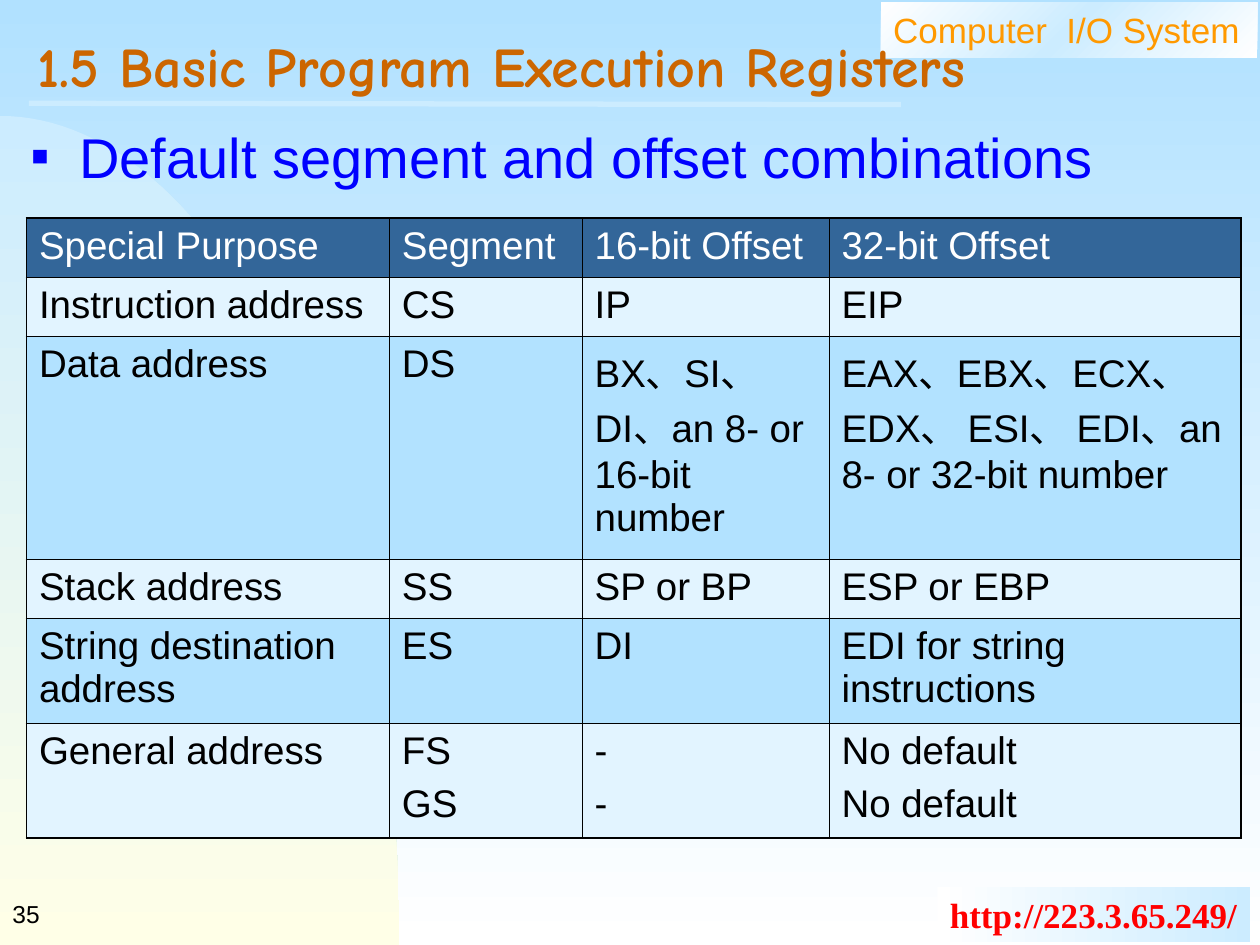
import collections
import copy
import math

import pptx
import pptx.dml.color
import pptx.enum.shapes
import pptx.enum.text
import pptx.oxml
import pptx.oxml.ns
import pptx.util

Inches = pptx.util.Inches
Pt = pptx.util.Pt
qn = pptx.oxml.ns.qn
Box = collections.namedtuple("Box", "left top width height")

COLUMNS = [2.88, 1.53, 1.96, 3.27]
ROWS = [0.47, 0.47, 1.77, 0.47, 0.83, 0.91]
REGISTERS = [
    ["Special Purpose", "Segment", "16-bit Offset", "32-bit Offset"],
    ["Instruction address", "CS", "IP", "EIP"],
    ["Data address", "DS", "BX、SI、 DI、an 8- or 16-bit number",
     "EAX、EBX、ECX、EDX、 ESI、 EDI、an 8- or 32-bit number"],
    ["Stack address", "SS", "SP or BP", "ESP or EBP"],
    ["String destination address", "ES", "DI", "EDI for string instructions"],
    ["General address", "FS\nGS", "-\n-", "No default\nNo default"],
]


def inch_box(left, top, width, height):
    """Return a box from lengths in inches."""
    return Box(*(Inches(length) for length in (left, top, width, height)))


def color(value):
    """Turn a hex string into a colour."""
    return pptx.dml.color.RGBColor.from_string(value)


def paint_gradient(fill, element, colors, angle):
    """Fill with evenly spaced colours, the angle running clockwise."""
    fill.gradient()
    fill.gradient_angle = -angle % 360
    stop_list = element.find(".//" + qn("a:gsLst"))
    while len(stop_list) < len(colors):
        stop_list.append(copy.deepcopy(stop_list[-1]))
    for index, (stop, value) in enumerate(zip(fill.gradient_stops, colors)):
        stop.position = index / (len(colors) - 1)
        stop.color.rgb = color(value)


def add_span(para, text, size, value, font="Arial", bold=False):
    """Add one formatted run to a paragraph."""
    span = para.add_run()
    span.text = text
    span.font.size = Pt(size)
    span.font.name = font
    span.font.bold = bold
    span.font.color.rgb = color(value)


def place(shape, box):
    """Move a shape into a box."""
    shape.left, shape.top, shape.width, shape.height = box


def add_corner_arc(page, box):
    """Draw a quarter ellipse that swells from the lower left corner."""
    bottom = box.top + box.height
    steps = 60
    angles = [math.pi / 2 * step / steps for step in range(steps + 1)]
    points = [(box.left + round(box.width * math.sin(angle)),
               bottom - round(box.height * math.cos(angle))) for angle in angles]
    builder = page.shapes.build_freeform(*points[0])
    builder.add_line_segments(points[1:] + [(box.left, bottom)], close=True)
    arc = builder.convert_to_shape()
    arc.shadow.inherit = False
    arc.line.fill.background()
    paint_gradient(arc.fill, arc._element.spPr, ["CCECFF", "FFFFE7"], 90)


def add_banner(page, box, text, colors, angle, wrap, **style):
    """Add a gradient strip with one line of text."""
    banner = page.shapes.add_shape(pptx.enum.shapes.MSO_SHAPE.RECTANGLE, *box)
    banner.shadow.inherit = False
    banner.line.fill.background()
    paint_gradient(banner.fill, banner._element.spPr, colors, angle)
    frame = banner.text_frame
    frame.word_wrap = wrap
    frame.vertical_anchor = pptx.enum.text.MSO_ANCHOR.TOP
    para = frame.paragraphs[0]
    para.alignment = pptx.enum.text.PP_ALIGN.LEFT
    add_span(para, text, 20, **style)


def add_rule(page, box):
    """Draw the line beneath the title."""
    rule = page.shapes.add_connector(
        pptx.enum.shapes.MSO_CONNECTOR.STRAIGHT, box.left, box.top,
        box.left + box.width, box.top + box.height)
    rule.line.color.rgb = color("CCECFF")
    rule.line.width = Pt(3)
    rule._element.spPr.append(pptx.oxml.parse_xml(
        f"<a:effectLst {pptx.oxml.ns.nsdecls('a')}/>"))


def fill_title(page, box):
    """Place and write the title in front of the decoration."""
    title = page.shapes.title
    place(title, box)
    page.shapes._spTree.append(title._element)
    frame = title.text_frame
    frame.auto_size = pptx.enum.text.MSO_AUTO_SIZE.NONE
    frame.vertical_anchor = pptx.enum.text.MSO_ANCHOR.MIDDLE
    para = frame.paragraphs[0]
    para.alignment = pptx.enum.text.PP_ALIGN.LEFT
    para.line_spacing = 0.7
    add_span(para, "1.5 Basic Program Execution Registers", 32, "CC6600",
             "Comic Neue", True)


def fill_body(page, box):
    """Place and write the bulleted heading of the table."""
    body = page.placeholders[1]
    place(body, box)
    page.shapes._spTree.append(body._element)
    frame = body.text_frame
    frame.auto_size = pptx.enum.text.MSO_AUTO_SIZE.NONE
    para = frame.paragraphs[0]
    properties = para._p.get_or_add_pPr()
    properties.set("marL", str(Inches(0.38)))
    properties.set("indent", str(-Inches(0.38)))
    names = pptx.oxml.ns.nsdecls("a")
    for bullet in (f'<a:buClr {names}><a:srgbClr val="0000FF"/></a:buClr>',
                   f'<a:buSzPct {names} val="50000"/>',
                   f'<a:buFont {names} typeface="Arial"/>',
                   f'<a:buChar {names} char="■"/>'):
        properties.append(pptx.oxml.parse_xml(bullet))
    para.space_before = Pt(0)
    add_span(para, "Default segment and offset combinations", 32, "0000FF")


def add_page_number(page, box):
    """Write the page number."""
    frame = page.shapes.add_textbox(*box).text_frame
    frame.word_wrap = True
    frame.vertical_anchor = pptx.enum.text.MSO_ANCHOR.MIDDLE
    add_span(frame.paragraphs[0], "35", 14, "000000")


def set_borders(cell, outer_sides):
    """Rule a cell, more heavily on the sides at the table's edge."""
    properties = cell._tc.get_or_add_tcPr()
    for side in "LRTB":
        width = Pt(1.08 if side in outer_sides else 0.45)
        properties.append(pptx.oxml.parse_xml(
            f'<a:ln{side} {pptx.oxml.ns.nsdecls("a")} w="{width}"><a:solidFill>'
            f'<a:srgbClr val="000000"/></a:solidFill></a:ln{side}>'))


def add_register_table(page, box):
    """Add the table of default segments and offsets."""
    table = page.shapes.add_table(len(ROWS), len(COLUMNS), *box).table
    table.horz_banding = False
    for column, width in zip(table.columns, COLUMNS):
        column.width = round(box.width * width / sum(COLUMNS))
    for row, height in zip(table.rows, ROWS):
        row.height = round(box.height * height / sum(ROWS))
    for row, texts in enumerate(REGISTERS):
        band = "336699" if row == 0 else ("B2E2FF", "E2F4FF")[row % 2]
        for column, text in enumerate(texts):
            cell = table.cell(row, column)
            edges = {"L": column == 0, "R": column == len(COLUMNS) - 1,
                     "T": row == 0, "B": row == len(ROWS) - 1}
            set_borders(cell, [side for side, outer in edges.items() if outer])
            cell.fill.solid()
            cell.fill.fore_color.rgb = color(band)
            frame = cell.text_frame
            for index, line in enumerate(text.split("\n")):
                para = frame.add_paragraph() if index else frame.paragraphs[0]
                para.space_before = Pt(5.5 if index else 0)
                add_span(para, line, 22, "000000" if row else "FFFFFF")


def main():
    """Build and save the deck."""
    deck = pptx.Presentation()
    deck.slide_width, deck.slide_height = Inches(10), Inches(7.5)
    page = deck.slides.add_slide(deck.slide_layouts[1])
    paint_gradient(page.background.fill, page._element, ["B1E1FF", "FFFFFF"], 90)
    add_corner_arc(page, inch_box(0, 0.92, 3.17, 6.58))
    add_banner(page, inch_box(6.99, 0.02, 2.99, 0.44), "Computer  I/O System",
               ["FFFFFF", "CCECFF", "FFFFFF"], 45, True, value="FF9900")
    add_banner(page, inch_box(7.44, 7.04, 2.48, 0.44), "http://223.3.65.249/",
               ["FFFFFF", "CCECFF"], 0, False, value="FF0000",
               font="Times New Roman", bold=True)
    add_rule(page, inch_box(0.23, 0.82, 6.92, 0.01))
    fill_title(page, inch_box(0.2, 0.2, 9.55, 0.77))
    fill_body(page, inch_box(0.15, 0.92, 9.6, 5.96))
    add_page_number(page, inch_box(0, 7, 2.08, 0.5))
    add_register_table(page, inch_box(0.21, 1.73, 9.64, sum(ROWS)))
    deck.save("out.pptx")


if __name__ == "__main__":
    main()
